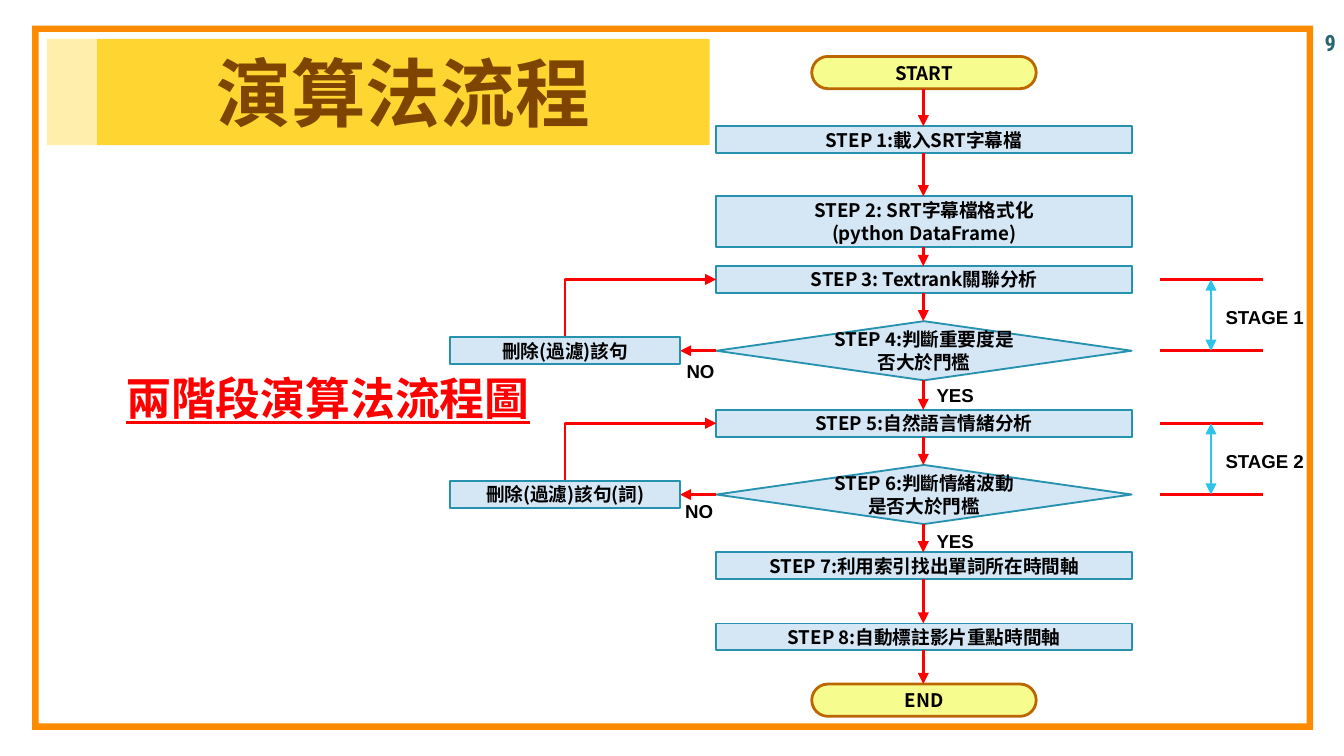
from typing import NamedTuple

from lxml.etree import SubElement
from pptx import Presentation
from pptx.dml.color import RGBColor
from pptx.enum.shapes import MSO_CONNECTOR as LINK, MSO_SHAPE as SHAPE
from pptx.enum.text import MSO_ANCHOR as ANCHOR, MSO_AUTO_SIZE as FIT, PP_ALIGN as ALIGN
from pptx.oxml.ns import qn
from pptx.util import Inches, Pt

RED = RGBColor(0xFF, 0x00, 0x00)
CYAN = RGBColor(0x2E, 0xC3, 0xEB)
BLACK = RGBColor(0x00, 0x00, 0x00)
PALE_BLUE = RGBColor(0xD5, 0xE6, 0xF5)
BLUE = RGBColor(0x26, 0x92, 0xAF)
LEMON = RGBColor(0xF7, 0xFC, 0x8E)
BROWN = RGBColor(0xBC, 0x66, 0x00)
GOLD = RGBColor(0xFF, 0xD5, 0x31)
DARK_BROWN = RGBColor(0x7F, 0x45, 0x00)
ORANGE = RGBColor(0xFE, 0x8A, 0x00)
TEAL = RGBColor(0x26, 0x65, 0x6C)
CJK = "Noto Sans CJK SC"


class Box(NamedTuple):
    left: float
    top: float
    width: float
    height: float


class Node(NamedTuple):
    text: str
    box: Box
    kind: SHAPE = SHAPE.RECTANGLE
    fill: RGBColor = PALE_BLUE
    line: RGBColor = BLUE
    line_width: float = 1


class Stage(NamedTuple):
    name: str
    top: float
    removal: str
    yes_top: float
    no_left: float
    no_top: float


# Flow geometry
AXIS, STEP_LEFT, STEP_WIDTH = 6.87, 5.33, 3.09
REMOVAL_LEFT, REMOVAL_WIDTH, BAR_HEIGHT = 3.35, 1.71, 0.2
STAGE_SPAN = 0.53


def step(text: str, top: float, height: float = BAR_HEIGHT,
         kind: SHAPE = SHAPE.RECTANGLE) -> Node:
    return Node(text, Box(STEP_LEFT, top, STEP_WIDTH, height), kind)


def terminal(text: str, top: float) -> Node:
    return Node(text, Box(6.04, top, 1.67, 0.24), SHAPE.ROUNDED_RECTANGLE, LEMON, BROWN, 1.5)


FLOW = [
    terminal("START", 0.42),
    step("STEP 1:載入SRT字幕檔", 0.94),
    step("STEP 2: SRT字幕檔格式化\n(python DataFrame)", 1.46, 0.38),
    step("STEP 3: Textrank關聯分析", 1.98),
    step("STEP 4:判斷重要度是否大於門檻", 2.39, 0.44, SHAPE.FLOWCHART_DECISION),
    step("STEP 5:自然語言情緒分析", 3.05),
    step("STEP 6:判斷情緒波動是否大於門檻", 3.46, 0.44, SHAPE.FLOWCHART_DECISION),
    step("STEP 7:利用索引找出單詞所在時間軸", 4.11),
    step("STEP 8:自動標註影片重點時間軸", 4.64),
    terminal("END", 5.09),
]
STAGES = [
    Stage("STAGE 1", 2.08, "刪除(過濾)該句", 2.81, 5.01, 2.63),
    Stage("STAGE 2", 3.15, "刪除(過濾)該句(詞)", 3.89, 5, 3.67),
]


def write(shape, text: str, size: float, font: str, color: RGBColor,
          align: ALIGN = ALIGN.CENTER, anchor: ANCHOR = ANCHOR.MIDDLE,
          fit: FIT = FIT.NONE, underline: bool = False) -> None:
    frame = shape.text_frame
    frame.text = text
    for name, value in {"word_wrap": True, "auto_size": fit, "vertical_anchor": anchor}.items():
        setattr(frame, name, value)
    formats = {"size": Pt(size), "name": font, "bold": True, "underline": underline}
    for paragraph in frame.paragraphs:
        paragraph.alignment = align
        for run in paragraph.runs:
            for name, value in formats.items():
                setattr(run.font, name, value)
            run.font.color.rgb = color
            SubElement(run._r.get_or_add_rPr(), qn("a:ea"), typeface=CJK)


def place(shape, box: Box) -> None:
    for name, value in box._asdict().items():
        setattr(shape, name, Inches(value))


def draw_shape(slide, kind: SHAPE, box: Box, fill: RGBColor):
    shape = slide.shapes.add_shape(kind, *map(Inches, box))
    shape.shadow.inherit = False
    shape.fill.solid()
    shape.fill.fore_color.rgb = fill
    shape.line.fill.background()
    return shape


def draw_node(slide, node: Node) -> None:
    shape = draw_shape(slide, node.kind, node.box, node.fill)
    shape.line.color.rgb = node.line
    shape.line.width = Pt(node.line_width)
    if node.kind == SHAPE.ROUNDED_RECTANGLE:
        shape.adjustments[0] = 0.5
    write(shape, node.text, 10, CJK, BLACK)


def draw_label(slide, text: str, box: Box) -> None:
    label = slide.shapes.add_textbox(*map(Inches, box))
    write(label, text, 10, "Arial", BLACK, ALIGN.LEFT, ANCHOR.TOP, FIT.SHAPE_TO_FIT_TEXT)


def draw_line(slide, x1: float, y1: float, x2: float, y2: float, color: RGBColor = RED,
              ends: tuple[str, ...] = ("tailEnd",), kind: LINK = LINK.STRAIGHT):
    line = slide.shapes.add_connector(kind, *map(Inches, (x1, y1, x2, y2)))
    line.line.color.rgb = color
    line.line.width = Pt(1.5)
    for end in ends:
        SubElement(line.line._get_or_add_ln(), qn(f"a:{end}"), type="triangle")
    SubElement(line._element.spPr, qn("a:effectLst"))
    return line


def draw_return(slide, x1: float, y1: float, x2: float, y2: float) -> None:
    """Arrow that goes up from the first point, then right to the second."""
    mid_x, mid_y = (x1 + x2) / 2, (y1 + y2) / 2
    half_rise, half_run = (y1 - y2) / 2, (x2 - x1) / 2
    bend = draw_line(slide, mid_x + half_rise, mid_y + half_run,
                     mid_x - half_rise, mid_y - half_run, kind=LINK.ELBOW)
    properties = bend._element.spPr
    properties.find(qn("a:prstGeom")).set("prst", "bentConnector2")
    properties.find(qn("a:xfrm")).set("rot", str(90 * 60000))


def draw_stage(slide, stage: Stage) -> None:
    bottom = stage.top + STAGE_SPAN
    removal_top = bottom - BAR_HEIGHT / 2
    removal_right = REMOVAL_LEFT + REMOVAL_WIDTH
    # Rejected branch
    draw_line(slide, STEP_LEFT, bottom, removal_right, bottom)
    draw_return(slide, REMOVAL_LEFT + REMOVAL_WIDTH / 2, removal_top, STEP_LEFT, stage.top)
    draw_node(slide, Node(stage.removal, Box(REMOVAL_LEFT, removal_top, REMOVAL_WIDTH, BAR_HEIGHT)))
    draw_label(slide, "NO", Box(stage.no_left, stage.no_top, 0.69, 0.29))
    draw_label(slide, "YES", Box(AXIS, stage.yes_top, 0.69, 0.29))
    # Stage bracket
    for y in (stage.top, bottom):
        draw_line(slide, 8.63, y, 9.4, y, ends=())
    draw_line(slide, 9.01, stage.top, 9.01, bottom, CYAN, ("headEnd", "tailEnd"))
    draw_label(slide, stage.name, Box(9.02, stage.top + 0.15, 0.91, 0.29))


def main() -> None:
    deck = Presentation()
    deck.slide_width = Inches(10)
    deck.slide_height = deck.slide_width * 9 // 16
    slide = deck.slides.add_slide(deck.slide_layouts[1])

    # Title banner
    title = slide.shapes.title
    place(title, Box(0.72, 0.29, 4.56, 0.79))
    title.fill.solid()
    title.fill.fore_color.rgb = GOLD
    write(title, "演算法流程", 40, CJK, DARK_BROWN)
    accent = draw_shape(slide, SHAPE.RECTANGLE, Box(0.35, 0.29, 0.37, 0.79), GOLD)
    accent_color = accent._element.spPr.find(qn("a:solidFill"))[0]
    SubElement(accent_color, qn("a:alpha"), val="40000")

    # Caption
    caption = slide.placeholders[1]
    place(caption, Box(0.46, 2.76, 3.96, 0.4))
    write(caption, "兩階段演算法流程圖", 24, "Arial", RED, underline=True)
    caption_line = caption.text_frame.paragraphs[0]
    caption_line.space_before = Pt(0)
    caption_format = caption_line._p.get_or_add_pPr()
    for name in ("marL", "indent"):
        caption_format.set(name, "0")
    SubElement(caption_format, qn("a:buNone"))

    # Page number
    page_number = slide.shapes.add_textbox(*map(Inches, (8.41, 0.14, 1.63, 0.35)))
    write(page_number, "9", 12, "Roboto Condensed", TEAL, ALIGN.RIGHT)

    # Flowchart
    for node in FLOW:
        draw_node(slide, node)
    for upper, lower in zip(FLOW, FLOW[1:]):
        draw_line(slide, AXIS, upper.box.top + upper.box.height, AXIS, lower.box.top)
    for stage in STAGES:
        draw_stage(slide, stage)

    # Slide border
    border = draw_shape(slide, SHAPE.FRAME, Box(0.24, 0.19, 9.53, 5.24), ORANGE)
    border.adjustments[0] = 0.009

    deck.save("out.pptx")


if __name__ == "__main__":
    main()
